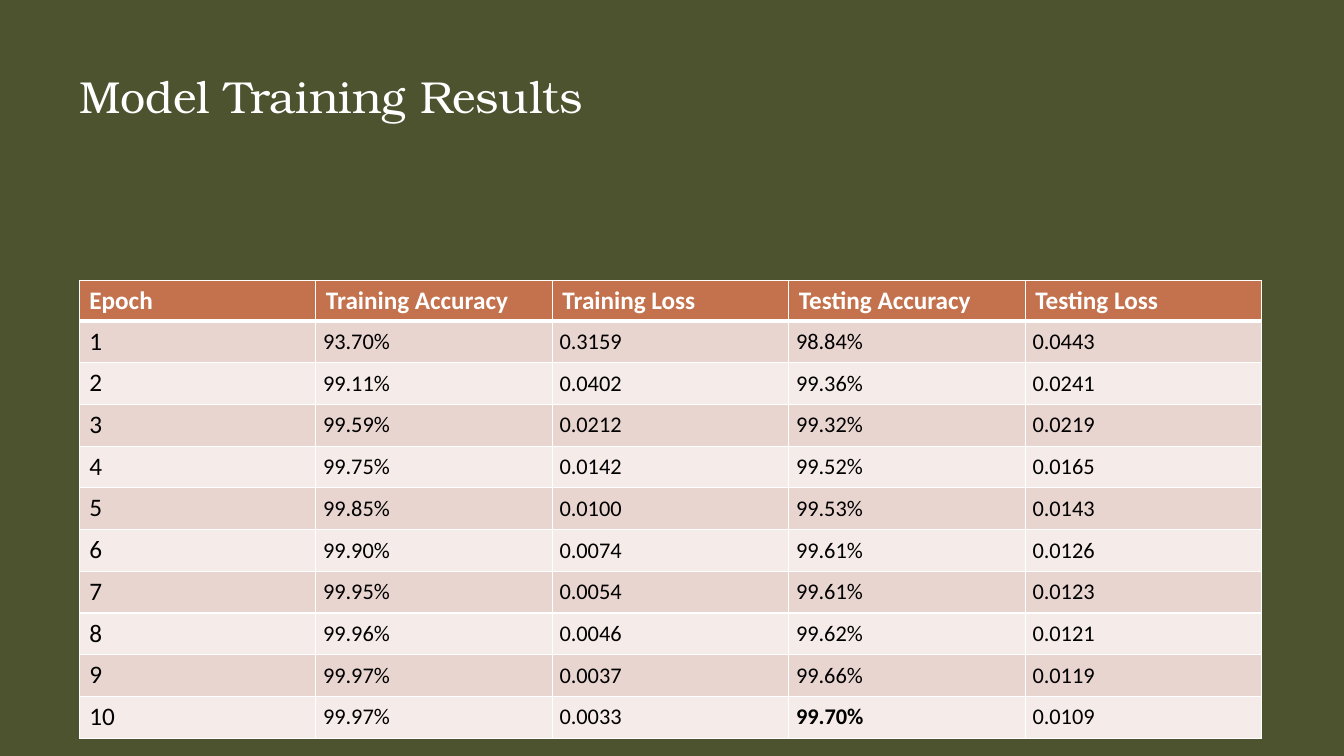
import pptx
import pptx.dml.color
import pptx.enum.text
import pptx.oxml
import pptx.oxml.ns
import pptx.util
from pptx.util import Cm

COLORS = {
    "background": "4D532E",
    "header": "C3724D",
    "odd": "E9D5D0",
    "even": "F5EBE9",
    "light": "FFFFFF",
    "dark": "000000",
}
HEADINGS = ["Epoch", "Training Accuracy", "Training Loss", "Testing Accuracy", "Testing Loss"]
RESULTS = [
    ["1", "93.70%", "0.3159", "98.84%", "0.0443"],
    ["2", "99.11%", "0.0402", "99.36%", "0.0241"],
    ["3", "99.59%", "0.0212", "99.32%", "0.0219"],
    ["4", "99.75%", "0.0142", "99.52%", "0.0165"],
    ["5", "99.85%", "0.0100", "99.53%", "0.0143"],
    ["6", "99.90%", "0.0074", "99.61%", "0.0126"],
    ["7", "99.95%", "0.0054", "99.61%", "0.0123"],
    ["8", "99.96%", "0.0046", "99.62%", "0.0121"],
    ["9", "99.97%", "0.0037", "99.66%", "0.0119"],
    ["10", "99.97%", "0.0033", "99.70%", "0.0109"],
]
BEST_RESULT = "99.70%"
LEFT, WIDTH = Cm(2), Cm(29.8)
ROW_HEIGHT = Cm(1.03)


def color(name):
    """Return the named colour."""
    return pptx.dml.color.RGBColor.from_string(COLORS[name])


def format_text(frame, font, size, color_name, bold=False):
    """Format every run in a text frame."""
    for para in frame.paragraphs:
        for span in para.runs:
            span.font.name = font
            span.font.size = pptx.util.Pt(size)
            span.font.bold = bold
            span.font.color.rgb = color(color_name)


def set_title(page, text):
    """Place and format the slide title."""
    title = page.shapes.title
    title.left, title.top, title.width, title.height = LEFT, Cm(1.73), WIDTH, Cm(4.11)
    frame = title.text_frame
    frame.text = text
    frame.margin_left = frame.margin_right = frame.margin_top = frame.margin_bottom = 0
    frame.word_wrap = True
    frame.auto_size = pptx.enum.text.MSO_AUTO_SIZE.NONE
    frame.vertical_anchor = pptx.enum.text.MSO_ANCHOR.TOP
    frame.paragraphs[0].alignment = pptx.enum.text.PP_ALIGN.LEFT
    format_text(frame, "TeX Gyre Bonum", 32, "light")


def set_borders(cell, top, bottom):
    """Draw white cell borders, with top and bottom widths in points."""
    properties = cell._tc.get_or_add_tcPr()
    for side, points in (("L", 1), ("R", 1), ("T", top), ("B", bottom)):
        properties.append(pptx.oxml.parse_xml(
            f'<a:ln{side} {pptx.oxml.ns.nsdecls("a")} w="{pptx.util.Pt(points)}">'
            f'<a:solidFill><a:srgbClr val="{COLORS["light"]}"/></a:solidFill></a:ln{side}>'
        ))


def fill_cell(cell, text, row, column):
    """Write and style one cell according to its place in the table."""
    is_header = row == 0
    is_value = row > 0 and column > 0
    cell.text = text
    if is_value:
        cell.margin_left = cell.margin_right = cell.margin_top = cell.margin_bottom = Cm(0.18)
    set_borders(cell, top=3 if row == 1 else 1, bottom=3 if is_header else 1)
    cell.fill.solid()
    cell.fill.fore_color.rgb = color("header" if is_header else "odd" if row % 2 else "even")
    format_text(cell.text_frame, "Calibri", 16 if is_value else 18,
                "light" if is_header else "dark", is_header or text == BEST_RESULT)


def add_results_table(page):
    """Add the table of results per epoch."""
    rows = [HEADINGS] + RESULTS
    table = page.shapes.add_table(len(rows), len(HEADINGS), LEFT, Cm(7.06),
                                  WIDTH, ROW_HEIGHT * len(rows)).table
    for row, texts in enumerate(rows):
        table.rows[row].height = ROW_HEIGHT
        for column, text in enumerate(texts):
            fill_cell(table.cell(row, column), text, row, column)


def main():
    """Build and save the deck."""
    deck = pptx.Presentation()
    deck.slide_width, deck.slide_height = Cm(33.87), Cm(19.05)
    page = deck.slides.add_slide(deck.slide_layouts[5])
    page.background.fill.solid()
    page.background.fill.fore_color.rgb = color("background")
    set_title(page, "Model Training Results")
    add_results_table(page)
    deck.save("out.pptx")


if __name__ == "__main__":
    main()
